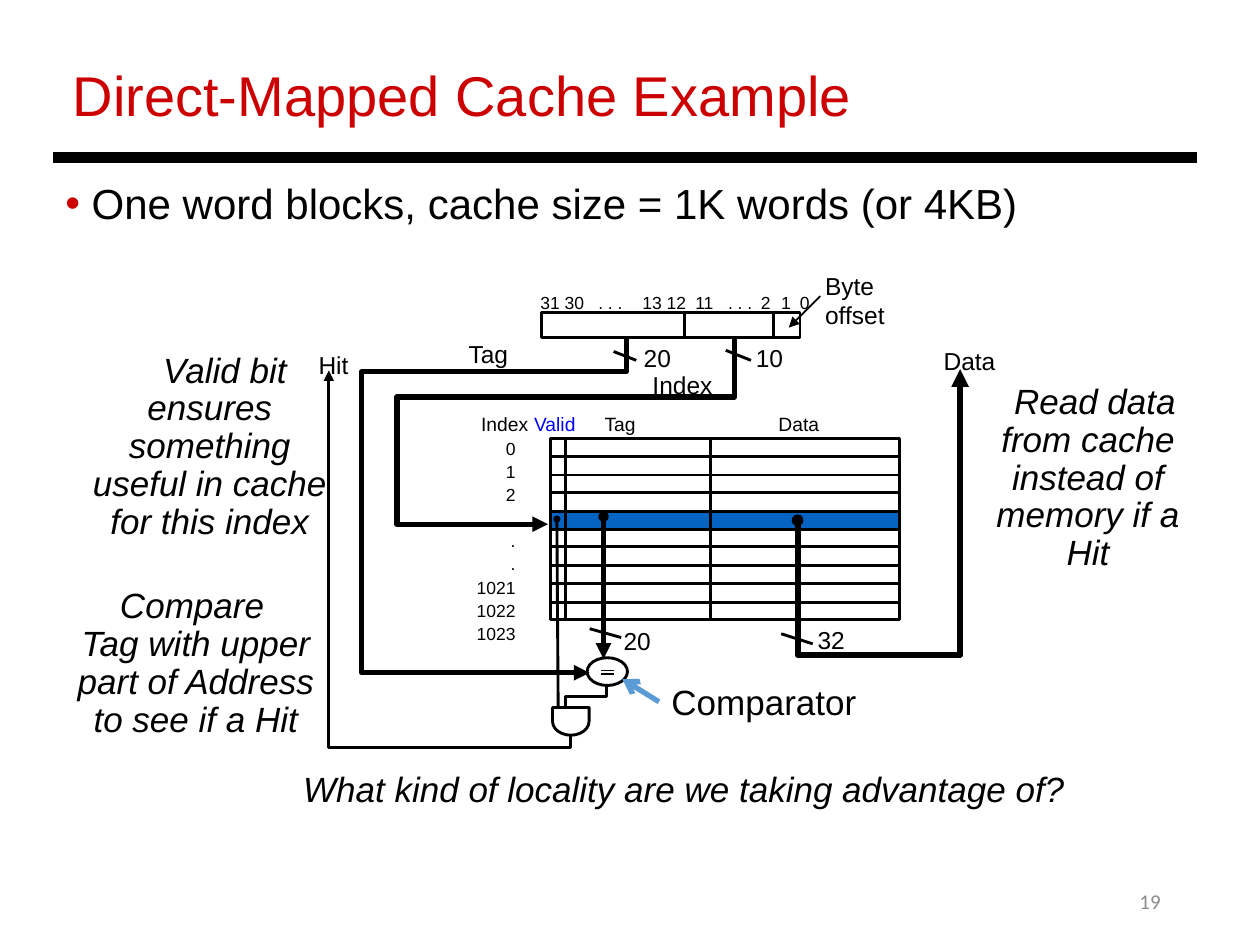
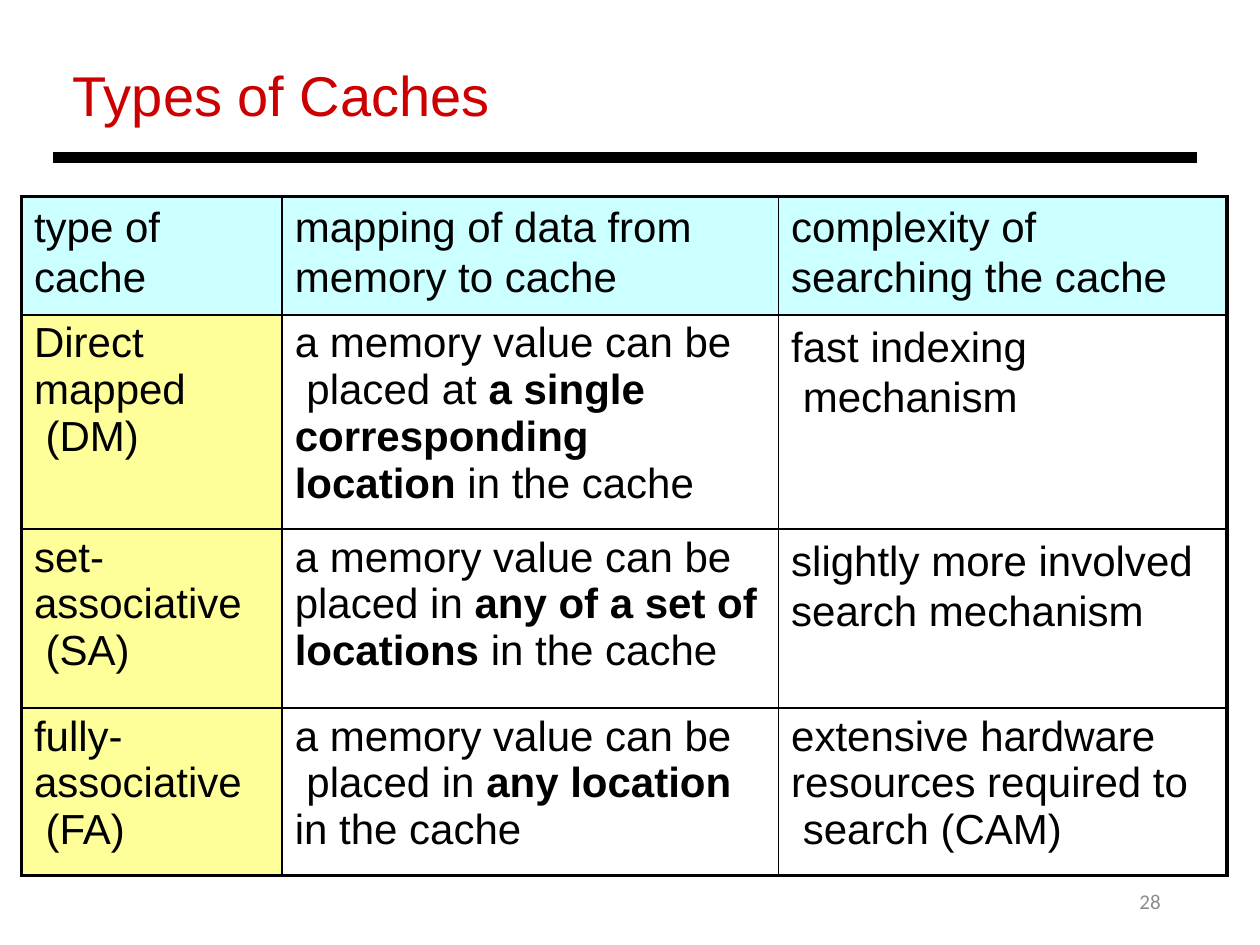
"""Build two lecture slides about direct-mapped caches and cache types."""
from dataclasses import dataclass

from lxml import etree
from pptx import Presentation
from pptx.dml.color import RGBColor
from pptx.enum.shapes import MSO_CONNECTOR, MSO_SHAPE
from pptx.enum.text import MSO_ANCHOR, PP_ALIGN
from pptx.oxml.ns import qn
from pptx.util import Pt

STRAIGHT = MSO_CONNECTOR.STRAIGHT
RECT, OVAL, GATE = MSO_SHAPE.RECTANGLE, MSO_SHAPE.OVAL, MSO_SHAPE.FLOWCHART_DELAY
TOP, MIDDLE = MSO_ANCHOR.TOP, MSO_ANCHOR.MIDDLE
LEFT, MID, RIGHT = PP_ALIGN.LEFT, PP_ALIGN.CENTER, PP_ALIGN.RIGHT
PX = 9144


@dataclass(frozen=True)
class Theme:
    font: str = "Arial"
    foot: str = "Calibri"
    ink: str = "000000"
    red: str = "CC0000"
    gray: str = "8C8C8C"
    row: str = "0563C1"
    valid: str = "0000FF"
    hint: str = "5B9BD5"
    head: str = "CCFFFF"
    side: str = "FFFF99"
    title: int = 32
    body: int = 24
    note: int = 20
    label: int = 14
    page: int = 12
    small: int = 11
    tiny: int = 10
    hair: float = 0.75
    fine: float = 1
    thin: float = 1.63
    edge: float = 2.25
    bold: float = 3
    data: float = 3.38
    bar: float = 6


T = Theme()


def text(host, words, box=None, size=T.label, color=T.ink, font=T.font, align=LEFT,
         anchor=TOP, italic=False, wrap=True, space=None, inset=(10, 5),
         left=0, first=0, bullet=None):
    """Write words into a new box or a cell; stars mark bold, \\v breaks a line."""
    if box:
        frame = host.shapes.add_textbox(*[n * PX for n in box]).text_frame
        frame.word_wrap, frame.vertical_anchor = wrap, anchor
        frame.margin_left = frame.margin_right = inset[0] * PX
        frame.margin_top = frame.margin_bottom = inset[1] * PX
    else:
        frame = host.text_frame
    for n, line in enumerate(words.split("\n")):
        para = frame.add_paragraph() if n else frame.paragraphs[0]
        para.alignment = align
        if space:
            para.line_spacing = space
        for i, part in enumerate(line.split("*")):
            for j, piece in enumerate(part.split("\v")):
                if j:
                    para.add_line_break()
                if piece:
                    run = para.add_run()
                    run.text = piece
                    run.font.name, run.font.size = font, Pt(size)
                    run.font.bold, run.font.italic = i % 2 == 1, italic
                    run.font.color.rgb = RGBColor.from_string(color)
        props = para._p.get_or_add_pPr()
        props.set("marL", str(left * PX))
        props.set("indent", str(first * PX))
        if bullet:
            tint = etree.SubElement(props, qn("a:buClr"))
            etree.SubElement(tint, qn("a:srgbClr"), val=T.red)
            etree.SubElement(props, qn("a:buFont"), typeface=font)
            etree.SubElement(props, qn("a:buChar"), char=bullet)


def path(slide, points, width=T.thin, color=T.ink, head=None, tail=None):
    """Draw a straight connector or an open bent line through the points."""
    if len(points) == 2:
        ends = [n * PX for point in points for n in point]
        shape = slide.shapes.add_connector(STRAIGHT, *ends)
    else:
        pen = slide.shapes.build_freeform(*points[0], scale=PX)
        pen.add_line_segments(points[1:], close=False)
        shape = pen.convert_to_shape()
        shape.fill.background()
    shape.line.width = Pt(width)
    shape.line.color.rgb = RGBColor.from_string(color)
    props = shape.element.spPr
    for tag, kind in (("a:headEnd", head), ("a:tailEnd", tail)):
        if kind:
            span = "sm" if kind == "oval" else "med"
            etree.SubElement(props.find(qn("a:ln")), qn(tag), type=kind, w=span, len=span)
    etree.SubElement(props, qn("a:effectLst"))


deck = Presentation()
deck.slide_width, deck.slide_height = 1000 * PX, 750 * PX
slides = []
for title, page in (("Direct-Mapped Cache Example", "19"), ("Types of Caches", "28")):
    slide = deck.slides.add_slide(deck.slide_layouts[6])
    text(slide, page, (706, 695, 225, 40), size=T.page, color=T.gray, font=T.foot,
         align=RIGHT, anchor=MIDDLE)
    text(slide, title, (48, 43, 770, 64), size=T.title, color=T.red)
    path(slide, [(42, 125), (950, 125)], T.bar)
    slides.append(slide)
cache, types = slides

text(cache, "One word blocks, cache size = 1K words (or 4KB)", (42, 136, 904, 91),
     size=T.body, left=21, first=-21, bullet="•")

LEFT_X, RIGHT_X, TOP_Y, DEEP, ROWS, HIT_ROW = 437, 714, 348, 144, 10, 4
lines = [TOP_Y + round(DEEP * n / ROWS) for n in range(ROWS + 1)]
wide = RIGHT_X - LEFT_X
for kind, x, y, w, h, fill, turn in (
    (RECT, LEFT_X, lines[HIT_ROW], wide, 14, T.row, 0),
    (RECT, LEFT_X, TOP_Y, wide, DEEP, None, 0),
    (RECT, 430, 248, 205, 20, None, 0),
    (OVAL, 466, 522, 32, 22, None, 0),
    (GATE, 442, 558, 22, 29, None, 90),
):
    shape = cache.shapes.add_shape(kind, x * PX, y * PX, w * PX, h * PX)
    shape.shadow.inherit = False
    shape.rotation = turn
    shape.line.width = Pt(T.thin)
    shape.line.color.rgb = RGBColor.from_string(T.ink)
    if fill:
        shape.fill.solid()
        shape.fill.fore_color.rgb = RGBColor.from_string(fill)
    else:
        shape.fill.background()

for y in lines[1:-1]:
    path(cache, [(LEFT_X, y), (RIGHT_X, y)])
for x in (449, 564):
    path(cache, [(x, TOP_Y), (x, TOP_Y + DEEP)])
for x in (543, 614):
    path(cache, [(x, 248), (x, 268)])
for y in (532, 535):
    path(cache, [(477, y), (487, y)], T.hair)
for x, y, w, h in ((487, 279, 18, 7), (576, 278, 20, 8), (468, 499, 25, 7), (620, 503, 25, 8)):
    path(cache, [(x, y), (x + w, y + h)])

for points, width, head, tail in (
    ([(497, 267), (497, 295), (287, 295), (287, 534), (468, 534)], T.bold, None, "triangle"),
    ([(583, 267), (583, 315), (315, 315), (315, 416), (435, 416)], T.bold, None, "triangle"),
    ([(479, 410), (479, 523)], T.bold, "oval", "triangle"),
    ([(633, 413), (633, 520), (762, 520), (762, 293)], T.data, "oval", "triangle"),
    ([(442, 412), (443, 562)], T.thin, "oval", None),
    ([(481, 544), (481, 553), (449, 553), (449, 562)], T.thin, None, None),
    ([(453, 584), (453, 593), (261, 593), (261, 294)], T.thin, None, "triangle"),
    ([(651, 235), (626, 260)], T.fine, None, "triangle"),
):
    path(cache, points, width, head=head, tail=tail)
path(cache, [(523, 557), (494, 539)], T.bold, T.hint, tail="arrow")

for words, x, y, w, size, color in (
    ("20", 501, 267, 42, T.label, T.ink),
    ("Tag", 362, 264, 52, T.label, T.ink),
    ("10", 590, 267, 42, T.label, T.ink),
    ("Index", 508, 289, 68, T.label, T.ink),
    ("20", 485, 492, 42, T.label, T.ink),
    ("32", 639, 491, 42, T.label, T.ink),
    ("Data", 739, 270, 62, T.label, T.ink),
    ("Hit", 243, 273, 44, T.label, T.ink),
    ("Index", 372, 322, 58, T.small, T.ink),
    ("Valid", 414, 322, 55, T.small, T.valid),
    ("Tag", 470, 322, 47, T.small, T.ink),
    ("Data", 608, 322, 53, T.small, T.ink),
    ("Comparator", 523, 535, 168, T.note, T.ink),
):
    text(cache, words, (x, y, w, size + 20), size=size, color=color, wrap=False)
for words, x, w in (("31 30", 419, 55), (". . .", 465, 40), ("13 12", 500, 55),
                    ("11", 542, 35), (". . .", 568, 40), ("2", 594, 28),
                    ("1", 610, 28), ("0", 625, 28)):
    text(cache, words, (x, 227, w, 27), size=T.tiny, wrap=False)
text(cache, "0\n1\n2\n.\n.\n.\n1021\n1022\n1023", (368, 341, 51, 177), size=T.tiny,
     align=RIGHT, wrap=False, space=1.1)
text(cache, "Byte offset", (645, 210, 94, 57))

for words, box, first in (
    ("What kind of locality are we taking advantage of?", (212, 609, 662, 38), -28),
    ("Valid bit ensures something useful in cache for this index", (34, 276, 237, 148), 24),
    ("Compare\vTag with upper part of Address to see if a Hit", (26, 463, 231, 168), -6),
    ("Read data from cache instead of memory if a Hit", (740, 301, 219, 210), 11),
):
    text(cache, words, box, size=T.note, align=MID, italic=True, space=0.9,
         inset=(7, 4), left=28, first=first)

cells = (
    ("type of\ncache", "mapping of data from\nmemory to cache",
     "complexity of\nsearching the cache"),
    ("Direct\vmapped\v (DM)",
     "a memory value can be\v placed at *a single\vcorresponding\vlocation* in the cache",
     "fast indexing\v mechanism"),
    ("set-\vassociative\v (SA)",
     "a memory value can be\vplaced in *any of a set of\vlocations* in the cache",
     "slightly more involved\nsearch mechanism"),
    ("fully-\vassociative\v (FA)",
     "a memory value can be\v placed in *any location*\vin the cache",
     "extensive hardware\vresources required to\v search (CAM)"),
)
widths, heights = (207, 394, 356), (94, 170, 142, 133)
grid = types.shapes.add_table(4, 3, 17 * PX, 156 * PX, sum(widths) * PX,
                              sum(heights) * PX).table
grid.first_row = grid.horz_banding = False
for col, w in zip(grid.columns, widths):
    col.width = w * PX
for r, words in enumerate(cells):
    grid.rows[r].height = heights[r] * PX
    for c, word in enumerate(words):
        cell = grid.cell(r, c)
        loose = r == 0 or (c == 2 and r < 3)
        cell.margin_left = cell.margin_right = cell.margin_bottom = 0
        cell.margin_top = (5 if loose and r else 4) * PX
        text(cell, word, size=T.body, left=10, space=Pt(28.6) if loose else 1.0)
        if r == 0 or c == 0:
            cell.fill.solid()
            cell.fill.fore_color.rgb = RGBColor.from_string(T.side if r else T.head)
        else:
            cell.fill.background()
        props = cell._tc.get_or_add_tcPr()
        sides = (("L", c == 0), ("R", c == 2), ("T", r == 0), ("B", r == 3))
        for n, (side, outer) in enumerate(sides):
            width = Pt(T.edge if outer else T.fine)
            rule = etree.Element(qn("a:ln" + side), w=str(width))
            paint = etree.SubElement(rule, qn("a:solidFill"))
            etree.SubElement(paint, qn("a:srgbClr"), val=T.ink)
            props.insert(n, rule)

deck.save("out.pptx")
